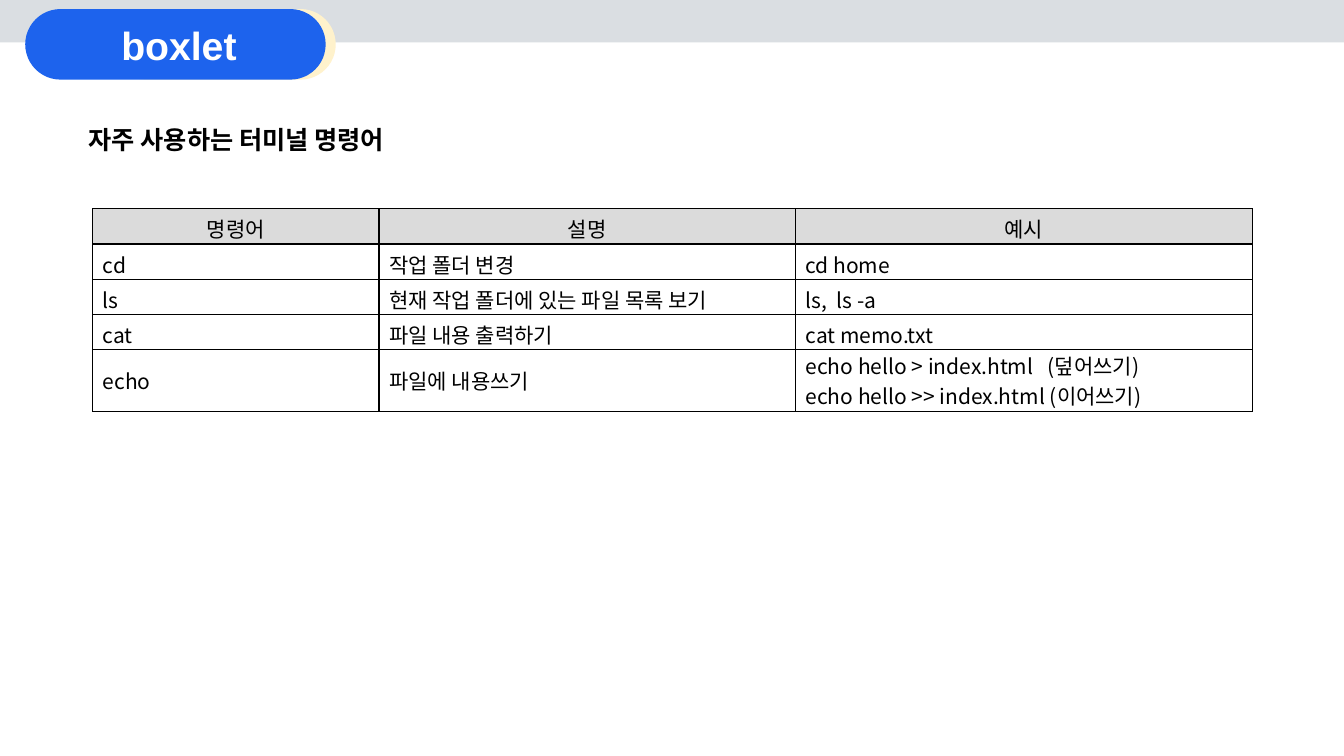
from pptx import Presentation
from pptx.dml.color import RGBColor
from pptx.enum.shapes import MSO_SHAPE
from pptx.enum.text import MSO_ANCHOR, PP_ALIGN
from pptx.oxml import parse_xml
from pptx.oxml.ns import nsdecls
from pptx.util import Inches, Pt

RECT, PILL = MSO_SHAPE.RECTANGLE, MSO_SHAPE.ROUNDED_RECTANGLE
LEFT, CENTER = PP_ALIGN.LEFT, PP_ALIGN.CENTER
TOP, MIDDLE = MSO_ANCHOR.TOP, MSO_ANCHOR.MIDDLE

BLACK = RGBColor(0x00, 0x00, 0x00)
WHITE = RGBColor(0xFF, 0xFF, 0xFF)
GREY = RGBColor(0xDA, 0xDE, 0xE2)
CREAM = RGBColor(0xFF, 0xF2, 0xCC)
BLUE = RGBColor(0x1D, 0x63, 0xED)
HEAD = RGBColor(0xDB, 0xDB, 0xDB)
KOREAN, LATIN = "Noto Sans CJK KR", "Arial"

# Content
TOPIC = "boxlet"
TITLE = "자주 사용하는 터미널 명령어"
ROWS = [
    ("명령어", "설명", "예시"),
    ("cd", "작업 폴더 변경", "cd home"),
    ("ls", "현재 작업 폴더에 있는 파일 목록 보기", "ls,  ls -a"),
    ("cat", "파일 내용 출력하기", "cat memo.txt"),
    ("echo", "파일에 내용쓰기",
     "echo hello > index.html   (덮어쓰기)\necho hello >> index.html (이어쓰기)"),
]
BANNER = [
    (RECT, (0, -0.02, 13.33, 0.44), GREY),
    (PILL, (1.09, 0.09, 2.24, 0.7), CREAM),
    (PILL, (0.25, 0.09, 2.98, 0.7), BLUE),
]
COLS = [2.84, 4.13, 4.53]
HEIGHTS = [0.35, 0.35, 0.35, 0.35, 0.61]
LINE = 0.305  # height of one line of table text


def style(frame, size, name, color, bold=False, align=LEFT):
    for para in frame.paragraphs:
        para.alignment = align
        font = para.font
        font.size, font.name, font.bold = Pt(size), name, bold
        font.color.rgb = color
        font._element.get_or_add_latin().addnext(
            parse_xml(f'<a:ea {nsdecls("a")} typeface="{name}"/>'))


def label(box, text, anchor, pad, **look):
    frame = slide.shapes.add_textbox(*map(Inches, box)).text_frame
    frame.word_wrap = True
    frame.vertical_anchor = anchor
    frame.margin_top = frame.margin_bottom = Inches(pad)
    frame.text = text
    style(frame, **look)


def border(cell):
    props = cell._tc.get_or_add_tcPr()
    for at, side in enumerate(("lnL", "lnR", "lnT", "lnB")):
        props.insert(at, parse_xml(
            f'<a:{side} {nsdecls("a")} w="{Pt(1)}"><a:solidFill>'
            f'<a:srgbClr val="{BLACK}"/></a:solidFill></a:{side}>'))


deck = Presentation()
deck.slide_width, deck.slide_height = Inches(13.33), Inches(7.5)
slide = deck.slides.add_slide(deck.slide_layouts[6])

# Banner
for kind, box, color in BANNER:
    shape = slide.shapes.add_shape(kind, *map(Inches, box))
    shape.shadow.inherit = False
    shape.fill.solid()
    shape.fill.fore_color.rgb = color
    shape.line.fill.background()
    if kind == PILL:
        shape.adjustments[0] = 0.5

# Command table
table = slide.shapes.add_table(
    len(ROWS), len(COLS), Inches(0.92), Inches(2.07),
    Inches(sum(COLS)), Inches(sum(HEIGHTS))).table
table.horz_banding = False
for col, width in zip(table.columns, COLS):
    col.width = Inches(width)
for r, (row, high) in enumerate(zip(ROWS, HEIGHTS)):
    table.rows[r].height = Inches(high)
    lines = max(text.count("\n") + 1 for text in row)
    for c, text in enumerate(row):
        cell = table.cell(r, c)
        cell.text = text
        cell.vertical_anchor = MIDDLE
        cell.margin_top = Inches(max(0, high - lines * LINE))
        cell.margin_bottom = 0
        if r == 0:
            cell.fill.solid()
            cell.fill.fore_color.rgb = HEAD
        else:
            cell.fill.background()
        border(cell)
        style(cell.text_frame, 15, KOREAN, BLACK,
              align=CENTER if r == 0 else LEFT)

# Title and topic
label((0.78, 1.21, 3.89, 0.4), TITLE, TOP, 0.02,
      size=18, name=KOREAN, color=BLACK, bold=True)
label((0.53, 0.16, 2.49, 0.57), TOPIC, MIDDLE, 0.05,
      size=28, name=LATIN, color=WHITE, bold=True, align=CENTER)

deck.save("out.pptx")
